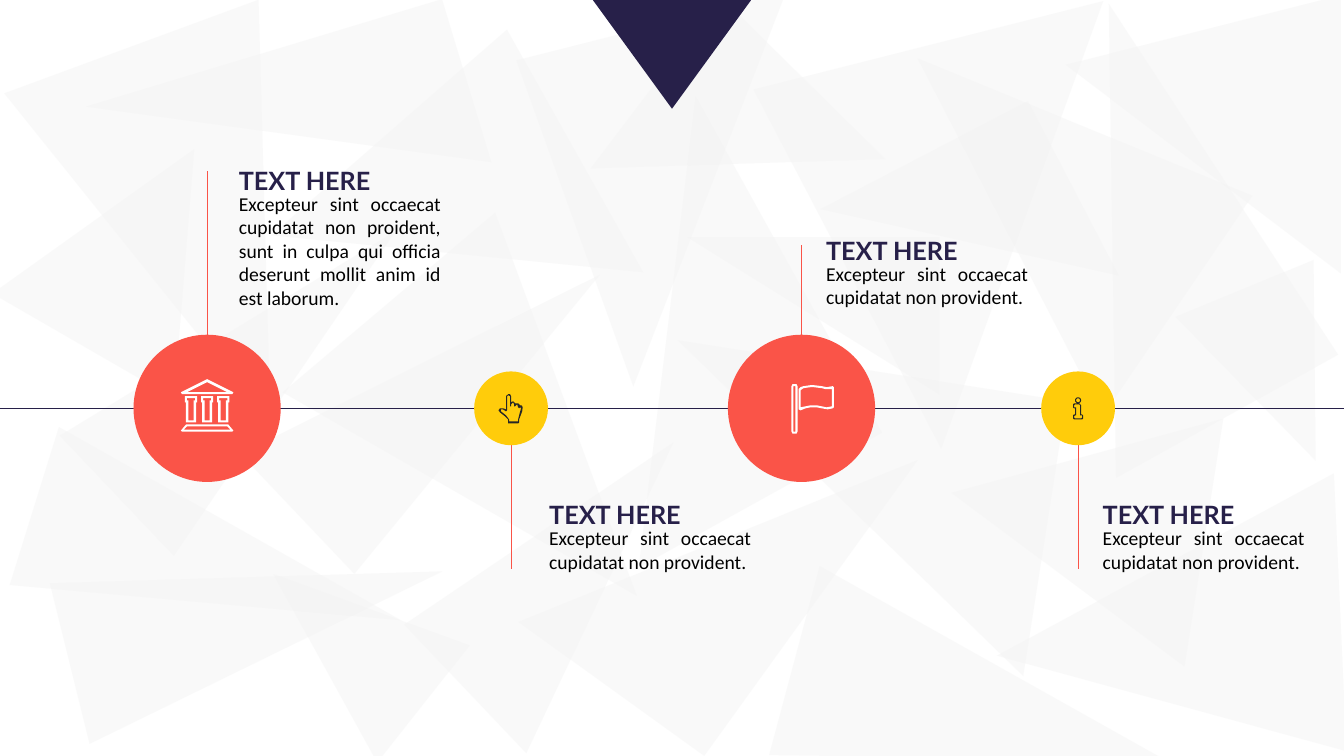
import dataclasses
import math

import lxml.etree
import pptx
import pptx.dml.color
import pptx.enum.shapes
import pptx.enum.text
import pptx.oxml.ns
import pptx.util

Cm = pptx.util.Cm
SHAPES = pptx.enum.shapes.MSO_SHAPE


@dataclasses.dataclass(frozen=True)
class Theme:
    navy: str = "272049"
    red: str = "FA5448"
    yellow: str = "FFCC0B"
    white: str = "FFFFFF"
    black: str = "000000"
    ink: str = "262626"
    shard: str = "F2F2F2"
    shard_opacity: int = 42
    heading_font: str = "Lato"
    heading_size: int = 18
    body_font: str = "Calibri"
    body_size: int = 14
    line_width: float = 0.5


@dataclasses.dataclass(frozen=True)
class Milestone:
    center: float
    diameter: float
    color: str
    stem_end: float
    text_left: float
    text_top: float
    body_height: float
    body: str
    icon: list
    icon_color: str


THEME = Theme()
WIDTH, HEIGHT = 33.87, 19.05
TIMELINE_Y = 10.29
TEXT_WIDTH = 5.59

# Background shards: left, top, width, height (cm), rotation, apex position
SHARDS = [
    (3.4, 9.35, 4.17, 9.68, 107.3, 0.5),
    (4.37, 10.72, 4.17, 9.68, 76.1, 0.5),
    (1.65, 0.86, 6.83, 10.16, 159.8, 0.5),
    (4.37, 4.32, 4.17, 9.68, 46.5, 0.5),
    (12.42, 10.54, 4.47, 8.08, 46.5, 0.3),
    (9.42, 6.48, 7.01, 9.68, 139.8, 0.5),
    (23.98, 9.93, 6.32, 6.48, 278.9, 0.54),
    (17.93, 7.85, 7.01, 9.91, 278.9, 1),
    (15.21, 9.04, 5.77, 9.19, 35.8, 1),
    (25.17, 0.61, 6.4, 10.54, 331, 0.88),
    (13.31, 3.53, 7.01, 9.68, 331, 1),
    (15.44, 1.19, 5.82, 5.38, 224.6, 0.88),
    (20.07, 0.99, 9.09, 9.93, 165.8, 0.74),
    (13.97, 0.53, 7.01, 8.69, 165.8, 0.88),
    (7.62, 1.83, 7.01, 7.72, 240.7, 0.77),
    (25.93, 11.28, 7.01, 8.69, 267.4, 0.4),
    (18.52, 4.78, 3.96, 6.35, 270, 1),
    (-0.89, 4.32, 6.3, 4.78, 274.6, 0.36),
    (5.13, -1.3, 4.29, 9.37, 253.2, 1),
    (26.82, -0.08, 7.01, 6.93, 270, 0.75),
    (8.92, 4.78, 4.17, 9.68, 46.5, 0.71),
    (22.23, 13.06, 4.93, 9.68, 105, 0.5),
    (30.38, 7.09, 3.76, 4.7, 157.6, 0.5),
    (6.83, 13.69, 3.76, 5, 308.3, 0.56),
    (22.63, 0.74, 6.71, 8.92, 304.2, 0.72),
    (21.49, 3.63, 5.89, 4.95, 152.5, 0),
]


# Icon contours, in hundredths of an inch from the disc center
def mirrored(points):
    return points + [(-x, y) for x, y in reversed(points)]


def shifted(points, offset):
    return [(x + offset, y) for x, y in points]


def ring(radius, center_y, steps=16):
    angles = [2 * math.pi * step / steps for step in range(steps)]
    return [(radius * math.cos(a), center_y + radius * math.sin(a)) for a in angles]


COLUMN = [
    mirrored([(6, -12), (6, -6), (5, -6), (5, 14)]),
    mirrored([(4, -10), (4, -8), (2.5, -8), (2.5, 12)]),
]
TEMPLE = [
    mirrored([(0, -29), (26, -16), (25, -14)]),
    mirrored([(0, -26), (20, -16)]),
    *[shifted(outline, offset) for offset in (-16, 0, 16) for outline in COLUMN],
    mirrored([(21, 16), (26, 22), (25, 23)]),
    mirrored([(20, 18), (23, 21)]),
]
FLAG = [
    [(-9, -24), (-5, -24), (-4, -22), (-4, 23), (-5, 25), (-9, 25), (-10, 23), (-10, -22)],
    [(-8, -22), (-6, -22), (-6, 23), (-8, 23)],
    [(-3, -19), (-1, -21), (2, -22), (9, -23), (12, -23), (20, -22), (25, -21), (31, -22),
     (32, -21), (32, -1), (31, 0), (26, 1), (20, 0), (15, -1), (9, -1), (4, 0), (-1, 2), (-3, 1)],
    [(-1, -18), (2, -20), (9, -21), (12, -21), (20, -20), (24, -19), (30, -19),
     (30, -2), (25, -1), (20, -2), (15, -3), (9, -3), (4, -2), (-1, -1)],
]
HAND = [
    [(-3, -14), (-5, -12), (-5, 1), (-8, 0), (-11, 0), (-12.5, 2), (-11, 4), (-6, 8), (-3, 11),
     (-3, 15), (7, 15), (8, 14), (8, 11), (11, 3), (11.5, -1), (10.5, -3), (9, -3), (7, -5),
     (4, -5), (2, -7), (0, -6), (0, -12), (-1, -14)],
    [(-3, -13), (-4, -12), (-4, 2), (-5, 3), (-8, 1), (-10, 1), (-10, 3), (-5, 7), (-2, 11),
     (-2, 13), (7, 13), (7, 11), (9, 3), (10, 0), (9, -1), (8, 0), (7, -1), (6, -4), (4, -2),
     (3, -2), (3, -4), (2, -6), (0, -4), (0, -2), (-1, -2), (-1, -12)],
]
INFO = [
    ring(3, -8),
    ring(2, -8),
    [(-4, -5), (1, -5), (3, -3), (3, 6), (4, 6), (5, 7), (5, 10), (4, 11), (-4, 11), (-5, 10),
     (-5, 7), (-4, 6), (-3, 6), (-3, 0), (-4, 0), (-5, -1), (-5, -4)],
    [(-3, -4), (1, -4), (2, -3), (2, 7), (4, 7), (4, 9), (3, 10), (-3, 10), (-4, 9), (-4, 8),
     (-3, 7), (-2, 7), (-2, -1), (-4, -1), (-4, -3)],
]

LONG_TEXT = ("Excepteur sint occaecat cupidatat non proident, sunt in culpa qui officia "
             "deserunt mollit anim id est laborum.")
SHORT_TEXT = "Excepteur sint occaecat cupidatat non provident."
LARGE = (3.71, THEME.red)
SMALL = (1.86, THEME.yellow)
MILESTONES = [
    Milestone(5.22, *LARGE, 4.32, 5.77, 4.04, 3.25, LONG_TEXT, TEMPLE, THEME.white),
    Milestone(20.2, *LARGE, 6.17, 20.57, 5.81, 1.45, SHORT_TEXT, FLAG, THEME.white),
    Milestone(12.88, *SMALL, 14.35, 13.59, 12.47, 1.45, SHORT_TEXT, HAND, THEME.ink),
    Milestone(27.17, *SMALL, 14.35, 27.54, 12.47, 1.45, SHORT_TEXT, INFO, THEME.ink),
]


def rgb(color):
    return pptx.dml.color.RGBColor.from_string(color)


def paint(shape, color):
    shape.shadow.inherit = False
    shape.fill.solid()
    shape.fill.fore_color.rgb = rgb(color)
    shape.line.fill.background()


def add_preset(slide, kind, box, color):
    shape = slide.shapes.add_shape(kind, *[Cm(length) for length in box])
    paint(shape, color)
    return shape


def add_line(slide, start, end, color):
    points = [Cm(length) for length in (*start, *end)]
    connector = slide.shapes.add_connector(pptx.enum.shapes.MSO_CONNECTOR.STRAIGHT, *points)
    connector.line.color.rgb = rgb(color)
    connector.line.width = pptx.util.Pt(THEME.line_width)
    lxml.etree.SubElement(connector._element.spPr, pptx.oxml.ns.qn("a:effectLst"))


def add_text(slide, box, text, font_name, size, color, bold=False):
    text_box = slide.shapes.add_textbox(*[Cm(length) for length in box])
    frame = text_box.text_frame
    frame.word_wrap = True
    frame.auto_size = pptx.enum.text.MSO_AUTO_SIZE.SHAPE_TO_FIT_TEXT
    paragraph = frame.paragraphs[0]
    run = paragraph.add_run()
    run.text = text
    run.font.name, run.font.size, run.font.bold = font_name, pptx.util.Pt(size), bold
    run.font.color.rgb = rgb(color)
    return paragraph


def add_icon(slide, center_x, center_y, outlines, color):
    grain = 10  # freeform points are whole numbers, so use tenths of a unit
    contours = [[(x * grain, y * grain) for x, y in outline] for outline in outlines]
    builder = slide.shapes.build_freeform(*contours[0][0], scale=Cm(2.54) / (100 * grain))
    for index, contour in enumerate(contours):
        if index:
            builder.move_to(*contour[0])
        builder.add_line_segments(contour[1:], close=True)
    paint(builder.convert_to_shape(Cm(center_x), Cm(center_y)), color)


def add_background(slide):
    for *box, rotation, apex in SHARDS:
        shard = add_preset(slide, SHAPES.ISOSCELES_TRIANGLE, box, THEME.shard)
        shard.rotation = rotation
        shard.adjustments[0] = apex
        color = shard._element.spPr.find(pptx.oxml.ns.qn("a:solidFill"))[0]
        lxml.etree.SubElement(color, pptx.oxml.ns.qn("a:alpha"), val=str(THEME.shard_opacity * 1000))


def add_milestone(slide, item):
    # Stem and disc with its icon
    radius = item.diameter / 2
    side = -1 if item.stem_end < TIMELINE_Y else 1
    add_line(slide, (item.center, TIMELINE_Y + side * radius), (item.center, item.stem_end), THEME.red)
    disc = (item.center - radius, TIMELINE_Y - radius, item.diameter, item.diameter)
    add_preset(slide, SHAPES.OVAL, disc, item.color)
    add_icon(slide, item.center, TIMELINE_Y, item.icon, item.icon_color)
    # Heading and body text
    add_text(slide, (item.text_left, item.text_top, TEXT_WIDTH, 1.02), "TEXT HERE",
             THEME.heading_font, THEME.heading_size, THEME.navy, bold=True)
    body = add_text(slide, (item.text_left, item.text_top + 0.66, TEXT_WIDTH, item.body_height),
                    item.body, THEME.body_font, THEME.body_size, THEME.black)
    body.alignment = pptx.enum.text.PP_ALIGN.JUSTIFY
    body.space_after = pptx.util.Pt(6)


def main():
    presentation = pptx.Presentation()
    presentation.slide_width, presentation.slide_height = Cm(WIDTH), Cm(HEIGHT)
    slide = presentation.slides.add_slide(presentation.slide_layouts[6])
    add_background(slide)
    # Top marker and timeline
    marker = add_preset(slide, SHAPES.ISOSCELES_TRIANGLE, (14.94, 0, 3.99, 2.74), THEME.navy)
    marker.rotation = 180
    add_line(slide, (0, TIMELINE_Y), (WIDTH, TIMELINE_Y), THEME.navy)
    for item in MILESTONES:
        add_milestone(slide, item)
    presentation.save("out.pptx")


if __name__ == "__main__":
    main()
